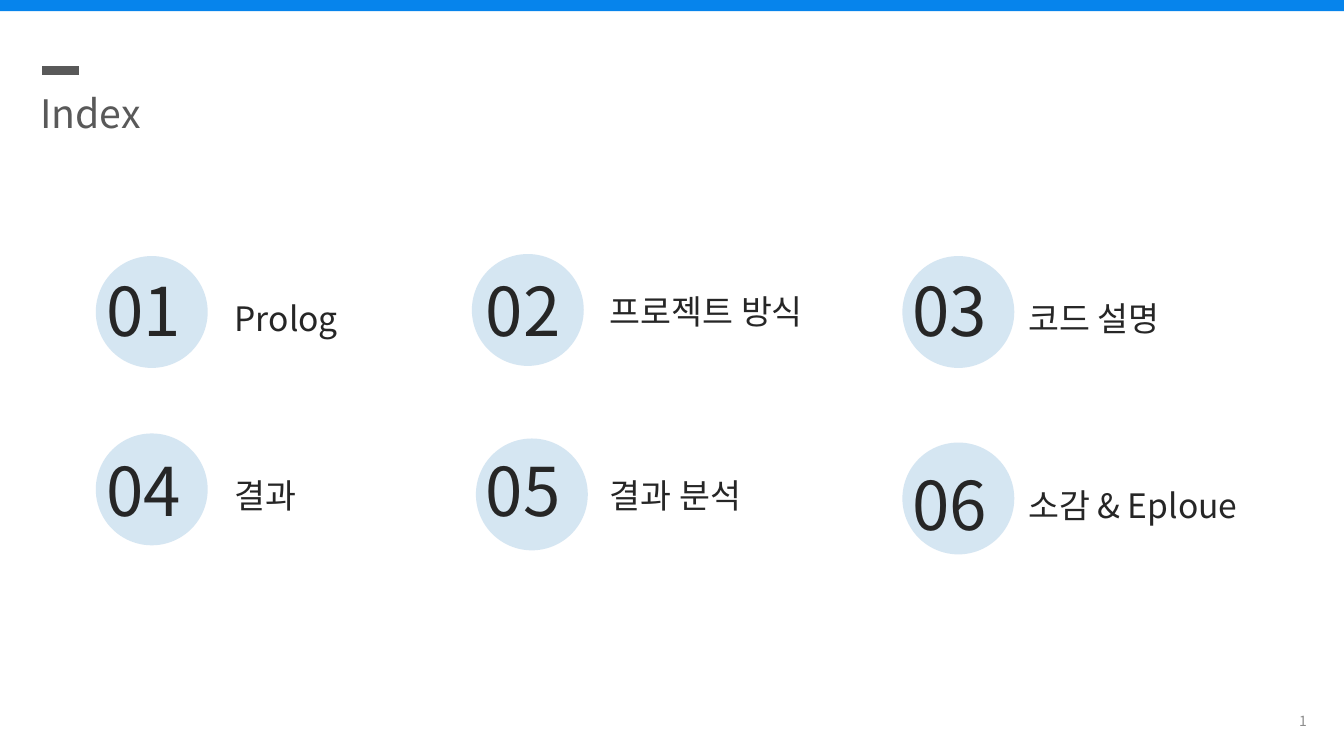
from lxml import etree
from pptx import Presentation
from pptx.dml.color import RGBColor
from pptx.enum import shapes, text
from pptx.oxml.ns import qn
from pptx.util import Inches, Pt

FONT = "Noto Sans CJK KR"
COLORS = {
    "bar": "0684EC",
    "circle": "4C93C7",
    "ink": "262626",
    "title": "595959",
    "page": "8C8C8C",
}
CIRCLE_SIZE = 1.11
# number, label, circle (left, top), number (left, top), label (left, top)
CHAPTERS = [
    ("01", "Prolog", (0.95, 2.54), (0.96, 2.62), (2.23, 2.91)),
    ("02", "프로젝트 방식", (4.68, 2.52), (4.72, 2.62), (5.95, 2.84)),
    ("03", "코드 설명", (8.95, 2.54), (8.95, 2.62), (10.1, 2.91)),
    ("04", "결과", (0.95, 4.3), (0.96, 4.41), (2.23, 4.66)),
    ("05", "결과 분석", (4.72, 4.35), (4.72, 4.41), (5.95, 4.66)),
    ("06", "소감 & Eploue", (8.95, 4.39), (8.95, 4.55), (10.1, 4.76)),
]


def rgb(name):
    return RGBColor.from_string(COLORS[name])


def add_filled(slide, preset, box, color, opacity=None):
    """Add a borderless shape; opacity is a percentage."""
    shape = slide.shapes.add_shape(preset, *map(Inches, box))
    shape.shadow.inherit = False
    shape.fill.solid()
    shape.fill.fore_color.rgb = rgb(color)
    shape.line.fill.background()
    if opacity is not None:
        fill_color = shape.fill._xPr.find(qn("a:solidFill"))[0]
        etree.SubElement(fill_color, qn("a:alpha"), val=str(opacity * 1000))


def add_text(slide, wording, box, size, color):
    label = slide.shapes.add_textbox(*map(Inches, box))
    frame = label.text_frame
    frame.word_wrap = True
    frame.auto_size = text.MSO_AUTO_SIZE.SHAPE_TO_FIT_TEXT
    paragraph = frame.paragraphs[0]
    paragraph.text = wording
    font = paragraph.font
    font.name = FONT
    font.size = Pt(size)
    font.color.rgb = rgb(color)
    # Hangul takes its typeface from a:ea, which follows a:latin
    latin = font._element.find(qn("a:latin"))
    east_asian = etree.Element(qn("a:ea"), typeface=FONT)
    latin.addnext(east_asian)
    return frame


def add_title(slide):
    dash = slide.shapes.add_connector(
        shapes.MSO_CONNECTOR.STRAIGHT,
        Inches(0.42), Inches(0.7), Inches(0.78), Inches(0.7))
    dash.line.color.rgb = rgb("title")
    dash.line.width = Pt(6)
    etree.SubElement(dash._element.spPr, qn("a:effectLst"))
    add_text(slide, "Index", (0.3, 0.84, 3.86, 0.57), 28, "title")


def add_chapter(slide, number, label, circle_at, number_at, label_at):
    add_filled(slide, shapes.MSO_SHAPE.OVAL,
               (*circle_at, CIRCLE_SIZE, CIRCLE_SIZE), "circle", opacity=23)
    add_text(slide, label, (*label_at, 2.76, 0.5), 24, "ink")
    add_text(slide, number, (*number_at, 1.46, 0.91), 48, "ink")


def add_page_number(slide):
    frame = add_text(slide, "1", (10.06, 6.95, 3, 0.4), 10, "page")
    frame.auto_size = text.MSO_AUTO_SIZE.NONE
    frame.vertical_anchor = text.MSO_ANCHOR.MIDDLE
    frame.paragraphs[0].alignment = text.PP_ALIGN.RIGHT


def main():
    deck = Presentation()
    deck.slide_width = Inches(13.33)
    deck.slide_height = Inches(7.5)
    slide = deck.slides.add_slide(deck.slide_layouts[6])
    add_filled(slide, shapes.MSO_SHAPE.RECTANGLE, (0, 0, 13.33, 0.11), "bar")
    add_title(slide)
    for chapter in CHAPTERS:
        add_chapter(slide, *chapter)
    add_page_number(slide)
    deck.save("out.pptx")


if __name__ == "__main__":
    main()
